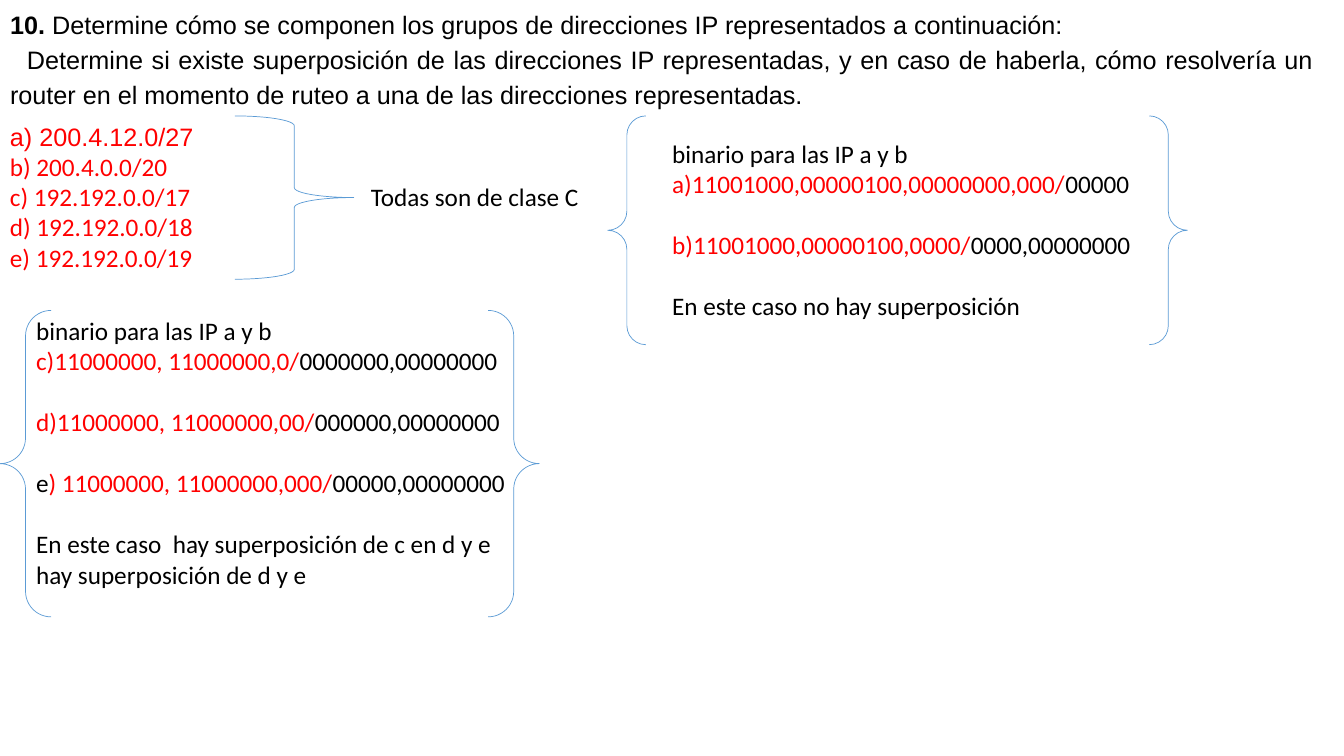
from pptx import Presentation
from pptx.dml.color import RGBColor
from pptx.enum.shapes import MSO_SHAPE as Shape
from pptx.enum.text import MSO_ANCHOR as Anchor, MSO_AUTO_SIZE as AutoSize, PP_ALIGN as Align
from pptx.util import Pt

BLACK, RED, BLUE = "000000", "FF0000", "5B9BD5"
TEXT_SIZE = 18
BLANK_LINE = 22
TOP_ROW, BOTTOM_ROW = 82.8, 221.76


def color(hex_string):
    """Turn a hex string into a colour."""
    return RGBColor.from_string(hex_string)


def add_run(paragraph, text, hex_string=BLACK, font="Calibri", bold=False):
    """Append one formatted run to a paragraph."""
    run = paragraph.add_run()
    run.text = text
    run.font.name = font
    run.font.size = Pt(TEXT_SIZE)
    run.font.bold = bold
    run.font.color.rgb = color(hex_string)


def set_frame(frame, wrap):
    """Fix wrapping, anchor and insets of a text frame."""
    frame.auto_size = AutoSize.NONE
    frame.word_wrap = wrap
    frame.vertical_anchor = Anchor.TOP
    frame.margin_left = frame.margin_right = Pt(7.2)
    frame.margin_top = frame.margin_bottom = Pt(3.6)


def fill_question(title):
    """Place the title and write the two justified question paragraphs."""
    title.left, title.top, title.width, title.height = Pt(0), Pt(0), Pt(945.4), Pt(TOP_ROW)
    frame = title.text_frame
    set_frame(frame, True)
    heading, detail = frame.paragraphs[0], frame.add_paragraph()
    add_run(heading, "10.", font="Arial", bold=True)
    add_run(heading, " Determine cómo se componen los grupos de direcciones IP "
                     "representados a continuación:", font="Arial")
    add_run(detail, "Determine si existe superposición de las direcciones IP representadas, "
                    "y en caso de haberla, cómo resolvería un router en el momento de ruteo "
                    "a una de las direcciones representadas.", font="Arial")
    for paragraph in (heading, detail):
        paragraph.alignment = Align.JUSTIFY
        paragraph.line_spacing = 1.15
    detail._p.get_or_add_pPr().set("indent", str(Pt(12)))


def add_text(slide, left, top, width, height, lines):
    """Add a text box; each line is (space before, list of run arguments)."""
    frame = slide.shapes.add_textbox(Pt(left), Pt(top), Pt(width), Pt(height)).text_frame
    set_frame(frame, False)
    for index, (space, runs) in enumerate(lines):
        paragraph = frame.add_paragraph() if index else frame.paragraphs[0]
        paragraph.space_before = Pt(space)
        for run in runs:
            add_run(paragraph, *run)


def binary_lines(addresses, conclusions):
    """Lay out addresses split at the mask, a gap between them, then conclusions."""
    lines = [(0, [("binario para las IP a y b",)])]
    for index, runs in enumerate(addresses):
        lines.append((BLANK_LINE if index else 0, runs))
    for index, text in enumerate(conclusions):
        lines.append((0 if index else BLANK_LINE, [(text,)]))
    return lines


def add_brace(slide, kind, left, top, width, height):
    """Add an unfilled brace with a thin blue line."""
    brace = slide.shapes.add_shape(kind, Pt(left), Pt(top), Pt(width), Pt(height))
    brace.shadow.inherit = False
    brace.fill.background()
    brace.line.color.rgb = color(BLUE)
    brace.line.width = Pt(0.5)


def main():
    """Build the slide and save it."""
    presentation = Presentation()
    presentation.slide_width, presentation.slide_height = Pt(960), Pt(540)
    slide = presentation.slides.add_slide(presentation.slide_layouts[5])
    fill_question(slide.shapes.title)

    networks = ["b) 200.4.0.0/20", "c) 192.192.0.0/17", "d) 192.192.0.0/18", "e) 192.192.0.0/19"]
    network_lines = [(0, [("a) 200.4.12.0/27", RED, "Arial")])]
    network_lines += [(0, [(network, RED)]) for network in networks]
    add_text(slide, 0, TOP_ROW, 151.92, 116.64, network_lines)
    add_text(slide, 257.76, 126, 164.88, 28.8, [(0, [("Todas son de clase C",)])])

    class_ab = [
        [("a)11001000,00000100,00000000,000/", RED), ("00000",)],
        [("b)11001000,00000100,0000/", RED), ("0000,00000000",)],
    ]
    add_text(slide, 473.04, 95.04, 344.16, 138.24,
             binary_lines(class_ab, ["En este caso no hay superposición"]))

    class_cde = [
        [("c)11000000, 11000000,0/", RED), ("0000000,00000000",)],
        [("d)11000000, 11000000,00/", RED), ("000000,00000000",)],
        [("e",), (") 11000000, 11000000,000/", RED), ("00000,00000000",)],
    ]
    add_text(slide, 18.72, BOTTOM_ROW, 352.8, 203.76,
             binary_lines(class_cde, ["En este caso  hay superposición de c en d y e",
                                      "hay superposición de d y e"]))

    add_brace(slide, Shape.RIGHT_BRACE, 167.76, TOP_ROW, 84.96, 116.64)
    add_brace(slide, Shape.DOUBLE_BRACE, 434.16, TOP_ROW, 414, 163.44)
    add_brace(slide, Shape.DOUBLE_BRACE, 0, BOTTOM_ROW, 385.2, 218.88)
    presentation.save("out.pptx")


main()
